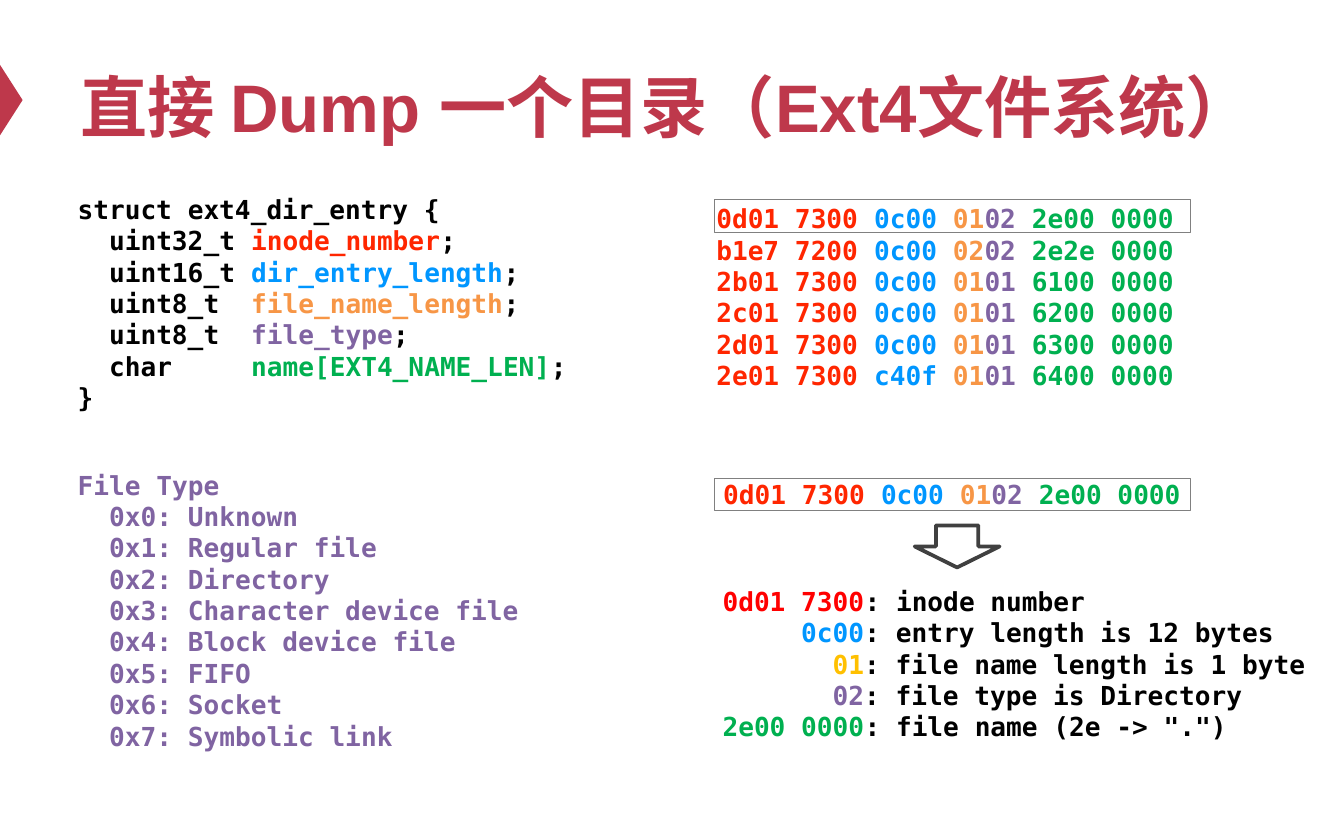
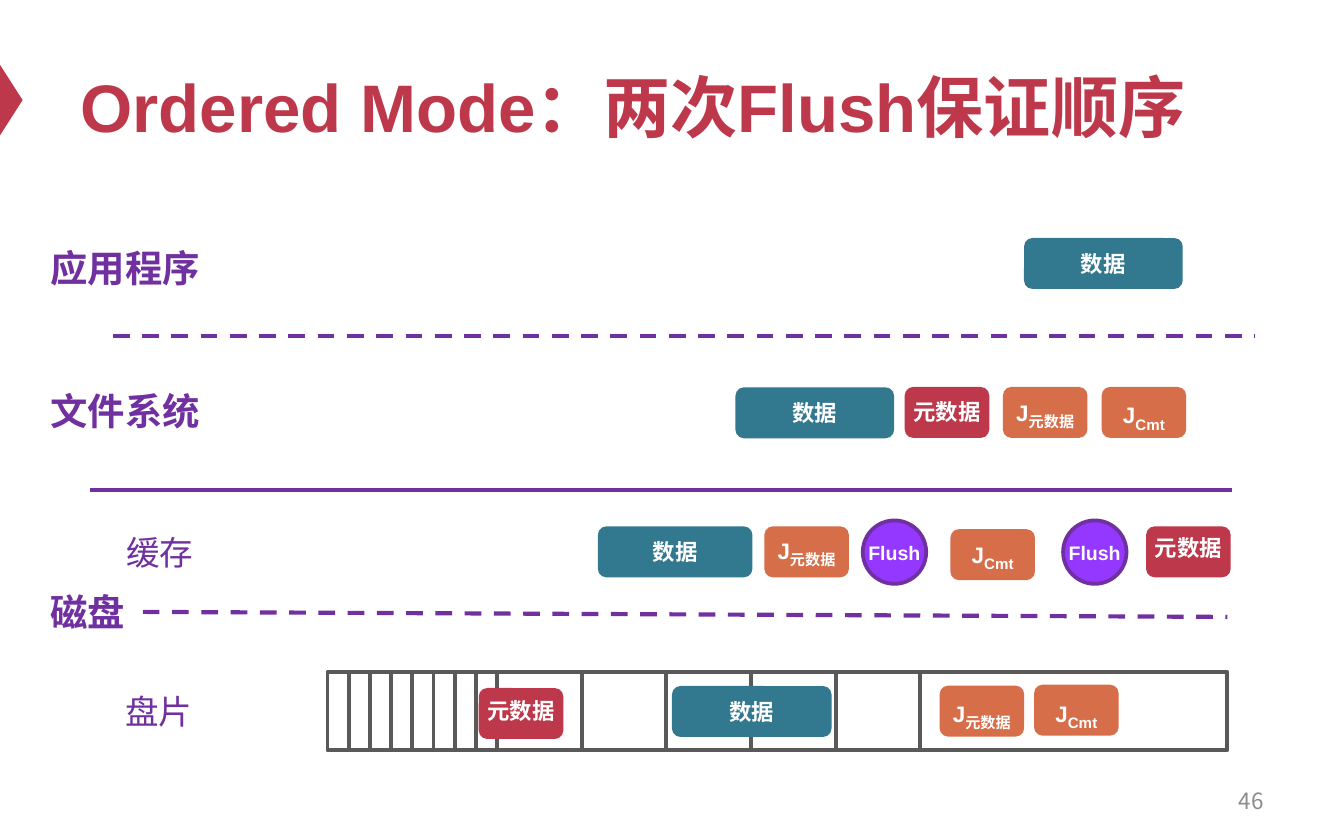
from lxml import etree
from pptx import Presentation
from pptx.dml.color import RGBColor
from pptx.enum.dml import MSO_LINE
from pptx.enum.shapes import MSO_CONNECTOR, MSO_SHAPE as Shape
from pptx.enum.text import MSO_ANCHOR as Anchor, PP_ALIGN as Align
from pptx.oxml.ns import qn
from pptx.util import Pt

CRIMSON = RGBColor(0xBE, 0x38, 0x4B)
TEAL = RGBColor(0x32, 0x78, 0x8E)
ORANGE = RGBColor(0xD6, 0x6E, 0x49)
VIOLET = RGBColor(0x94, 0x37, 0xFF)
PURPLE = RGBColor(0x70, 0x30, 0xA0)
WHITE = RGBColor(0xFF, 0xFF, 0xFF)
BLACK = RGBColor(0x00, 0x00, 0x00)
PAGE_GREY = RGBColor(0x8C, 0x8C, 0x8C)
FRAME_GREY = RGBColor(0x80, 0x80, 0x80)
ARROW_GREY = RGBColor(0x40, 0x40, 0x40)
DISK_GREY = RGBColor(0x59, 0x59, 0x59)
INODE = RGBColor(0xFF, 0x26, 0x00)
ENTRY_LENGTH = RGBColor(0x00, 0x96, 0xFF)
NAME_LENGTH = RGBColor(0xF7, 0x96, 0x46)
FILE_TYPE = RGBColor(0x80, 0x64, 0xA2)
FILE_NAME = RGBColor(0x00, 0xB0, 0x50)
RED = RGBColor(0xFF, 0x00, 0x00)
AMBER = RGBColor(0xFF, 0xC0, 0x00)

SANS = "Arial"
MONO = "DejaVu Sans Mono"
CJK = "Noto Sans CJK SC"
MONO_ADVANCE = 8.43


def draw(shapes, kind, box, fill=None, line=None, weight=2):
    shape = shapes.add_shape(kind, *map(Pt, box))
    shape.shadow.inherit = False
    if fill is None:
        shape.fill.background()
    else:
        shape.fill.solid()
        shape.fill.fore_color.rgb = fill
    if line is None:
        shape.line.fill.background()
    else:
        shape.line.color.rgb = line
        shape.line.width = Pt(weight)
    return shape


def write(shape, lines, size, font=SANS, bold=True, align=Align.LEFT, anchor=Anchor.TOP, indents=()):
    frame = shape.text_frame
    frame.word_wrap = True
    frame.vertical_anchor = anchor
    for number, pieces in enumerate(lines):
        paragraph = frame.add_paragraph() if number else frame.paragraphs[0]
        paragraph.alignment = align
        if indents:
            margin = Pt(indents[number] * MONO_ADVANCE)
            paragraph._p.get_or_add_pPr().set("marL", str(margin))
        for text, colour in pieces:
            run = paragraph.add_run()
            run.text = text
            run.font.size = Pt(size)
            run.font.bold = bold
            run.font.color.rgb = colour
            run.font.name = font
            etree.SubElement(run._r.get_or_add_rPr(), qn("a:ea")).set("typeface", CJK)
    return frame


deck = Presentation()
deck.slide_width, deck.slide_height = Pt(720), Pt(450)

slides = []
for heading in ("直接 Dump 一个目录（Ext4文件系统）", "Ordered Mode：两次Flush保证顺序"):
    slide = deck.slides.add_slide(deck.slide_layouts[6])
    draw(slide.shapes, Shape.ISOSCELES_TRIANGLE, (-13, 47.5, 38, 12.2), CRIMSON).rotation = 90
    title = slide.shapes.add_textbox(Pt(36), Pt(18), Pt(648), Pt(70.5))
    title_frame = write(title, [[(heading, CRIMSON)]], 36, anchor=Anchor.MIDDLE)
    title_frame.margin_top = Pt(10)
    title_frame.paragraphs[0].line_spacing = Pt(43)
    slides.append(slide.shapes)
dump, ordered = slides

FIELD_COLOURS = (INODE, ENTRY_LENGTH, NAME_LENGTH, FILE_TYPE, FILE_NAME)
entries = [
    ("0d01 7300 ", "0c00 ", "01", "02 ", "2e00 0000 "),
    ("b1e7 7200 ", "0c00 ", "02", "02 ", "2e2e 0000 "),
    ("2b01 7300 ", "0c00 ", "01", "01 ", "6100 0000 "),
    ("2c01 7300 ", "0c00 ", "01", "01 ", "6200 0000 "),
    ("2d01 7300 ", "0c00 ", "01", "01 ", "6300 0000 "),
    ("2e01 7300 ", "c40f ", "01", "01 ", "6400 0000 "),
]
hex_rows = [list(zip(entry, FIELD_COLOURS)) for entry in entries]

members = [
    ("uint32_t ", "inode_number"),
    ("uint16_t ", "dir_entry_length"),
    ("uint8_t  ", "file_name_length"),
    ("uint8_t  ", "file_type"),
    ("char     ", "name[EXT4_NAME_LEN]"),
]
struct = [[("struct ext4_dir_entry {", BLACK)]]
for (c_type, member), colour in zip(members, FIELD_COLOURS):
    struct.append([(c_type, BLACK), (member, colour), (";", BLACK)])
struct.append([("}", BLACK)])

type_names = ["Unknown", "Regular file", "Directory", "Character device file",
              "Block device file", "FIFO", "Socket", "Symbolic link"]
file_types = [[("File Type", FILE_TYPE)]]
for code, type_name in enumerate(type_names):
    file_types.append([(f"0x{code}: {type_name}", FILE_TYPE)])

meanings = [
    ("0d01 7300", RED, "inode number"),
    ("0c00", ENTRY_LENGTH, "entry length is 12 bytes"),
    ("01", AMBER, "file name length is 1 byte"),
    ("02", FILE_TYPE, "file type is Directory"),
    ("2e00 0000", FILE_NAME, 'file name (2e -> ".")'),
]
decoded = [[(value, colour), (f": {meaning}", BLACK)] for value, colour, meaning in meanings]
decoded_indents = [9 - len(value) for value, colour, meaning in meanings]

for box, lines, align, indents in [
    ((360, 105, 301, 109), hex_rows, Align.CENTER, ()),
    ((34.5, 100, 380, 126), struct, Align.LEFT, [0] + [2] * len(members) + [0]),
    ((380, 252.5, 268.5, 24.5), hex_rows[:1], Align.CENTER, ()),
    ((34.5, 247.7, 289.5, 160), file_types, Align.LEFT, [0] + [2] * len(type_names)),
    ((380, 310, 374.5, 92), decoded, Align.LEFT, decoded_indents),
]:
    write(dump.add_textbox(*map(Pt, box)), lines, 14, MONO, align=align, indents=indents)

draw(dump, Shape.DOWN_ARROW, (490, 281.5, 45.5, 22.5), line=ARROW_GREY)
for top in (107, 256.3):
    draw(dump, Shape.RECTANGLE, (382.7, top, 255, 17.3), line=FRAME_GREY, weight=0.25)

page_number = ordered.add_textbox(Pt(516), Pt(417), Pt(168), Pt(24))
write(page_number, [[("46", PAGE_GREY)]], 12, CJK, False, Align.RIGHT, Anchor.MIDDLE)

for layer, left, top, width, height, size, bold in [
    ("应用程序", 20, 128, 124.5, 31.5, 20, True),
    ("文件系统", 20, 204.5, 124.5, 31.5, 20, True),
    ("磁盘", 20, 312, 57, 31.5, 20, True),
    ("缓存", 60.5, 281.5, 79, 29, 18, False),
    ("盘片", 60, 366.5, 79, 29, 18, False),
]:
    label = ordered.add_textbox(Pt(left), Pt(top), Pt(width), Pt(height))
    write(label, [[(layer, PURPLE)]], size, bold=bold)

for x1, y1, x2, y2, dashed in [
    (60.5, 180, 672.5, 180, True),
    (48.2, 262.3, 660.2, 262.3, False),
    (76.5, 327.8, 657.5, 330.5, True),
]:
    boundary = ordered.add_connector(MSO_CONNECTOR.STRAIGHT, Pt(x1), Pt(y1), Pt(x2), Pt(y2))
    boundary.line.color.rgb = PURPLE
    boundary.line.width = Pt(2.25)
    if dashed:
        boundary.line.dash_style = MSO_LINE.DASH
    etree.SubElement(boundary._element.spPr, qn("a:effectLst"))

sector_left = 175.5
for sector_width in [11.35] * 8 + [45.35] * 5 + [164.5]:
    draw(ordered, Shape.RECTANGLE, (sector_left, 360, sector_width, 42), line=DISK_GREY)
    sector_left += sector_width

for left, top, width in [(548.6, 127.5, 85), (394, 207.5, 85), (320.3, 282, 82.8), (360, 367.5, 85.5)]:
    data_block = draw(ordered, Shape.ROUNDED_RECTANGLE, (left, top, width, 27.3), TEAL)
    write(data_block, [[("数据", WHITE)]], 12, align=Align.CENTER, anchor=Anchor.MIDDLE)

METADATA = (CRIMSON, ("元数据",))
JOURNAL = (ORANGE, ("J", "元数据"))
COMMIT = (ORANGE, ("J", "Cmt"))
for (fill, words), left, top, label_drop in [
    (METADATA, 484.7, 207.3, 2.7),
    (JOURNAL, 537.3, 207.3, 0.8),
    (COMMIT, 590.2, 207.3, 2.2),
    (JOURNAL, 409.5, 282, 0),
    (COMMIT, 509.2, 283.5, 0.8),
    (METADATA, 614, 282, 0.8),
    (METADATA, 256.5, 368.6, 1.5),
    (JOURNAL, 503.4, 367.3, 2.2),
    (COMMIT, 554, 366.8, 2.5),
]:
    block = ordered.add_group_shape().shapes
    draw(block, Shape.ROUNDED_RECTANGLE, (left, top, 45.3, 27.3), fill)
    caption = block.add_textbox(Pt(left - 7.2), Pt(top + label_drop), Pt(59.7), Pt(26.6))
    caption_frame = write(caption, [[(word, WHITE) for word in words]], 12, align=Align.CENTER)
    for subscript in caption_frame.paragraphs[0].runs[1:]:
        subscript.font.size = Pt(14)
        subscript._r.get_or_add_rPr().set("baseline", "-25000")

for left in (462.2, 569.5):
    flush = ordered.add_group_shape().shapes
    draw(flush, Shape.OVAL, (left, 278.8, 34, 34), VIOLET, PURPLE)
    caption = flush.add_textbox(Pt(left - 12.9), Pt(286.5), Pt(59.7), Pt(20.8))
    write(caption, [[("Flush", WHITE)]], 10.5, align=Align.CENTER)

deck.save("out.pptx")
